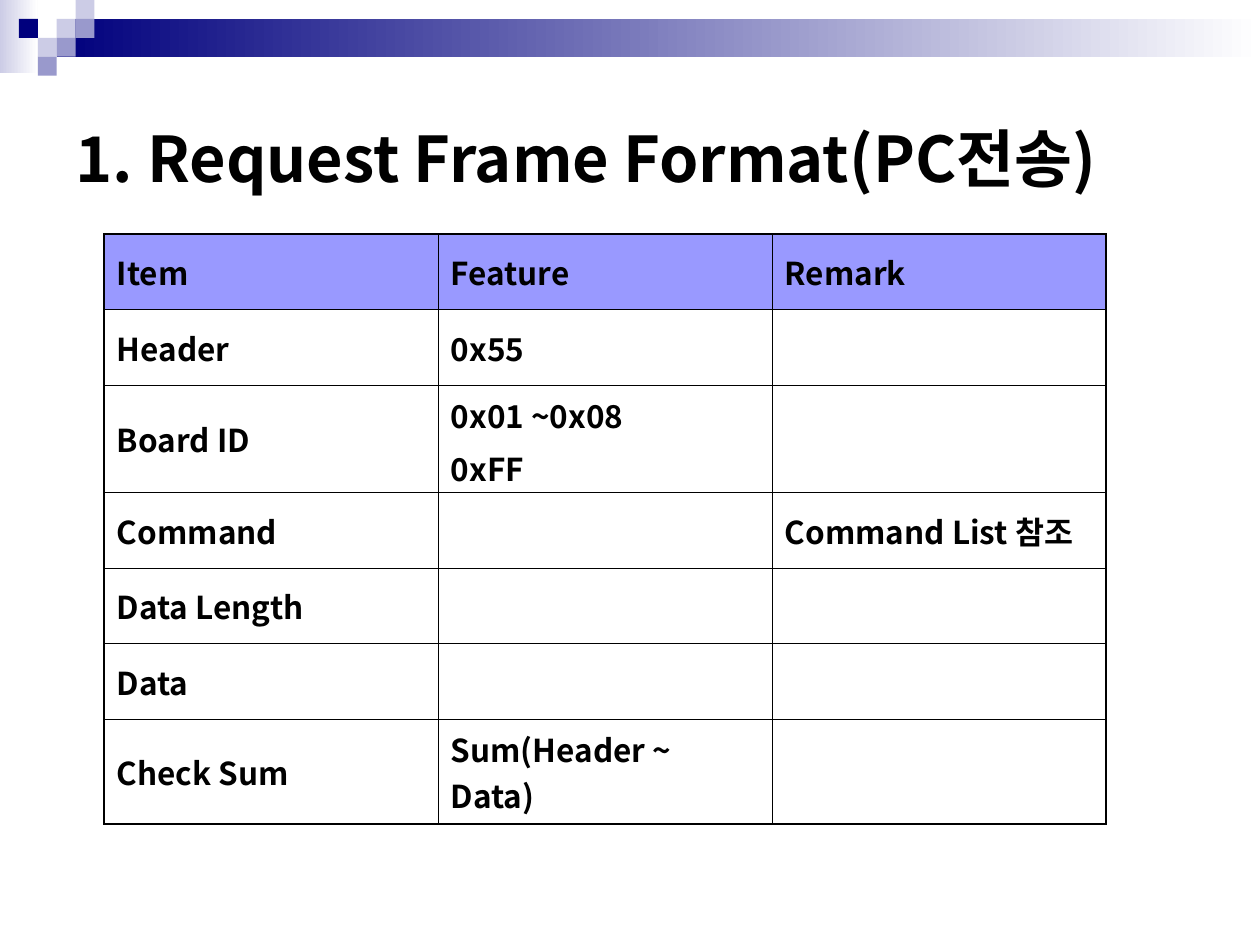
from dataclasses import dataclass

from pptx import Presentation
from pptx.dml.color import RGBColor
from pptx.enum import shapes, text
from pptx.oxml import parse_xml
from pptx.oxml import ns
from pptx.util import Pt


@dataclass(frozen=True)
class Theme:
    font: str = "Noto Sans CJK KR"
    title_size: float = 36
    cell_size: float = 18
    cell_space: float = 4.5
    ink: str = "000000"
    paper: str = "FFFFFF"
    navy: str = "00007D"
    lilac: str = "9999CC"
    pale: str = "CCCCE6"
    header: str = "9999FF"
    outer_line: float = 1.08
    inner_line: float = 0.45


THEME = Theme()

# Column, row and colour of each square in the corner mosaic
MOSAIC = [
    (3, 1, THEME.pale), (4, 0, THEME.pale), (4, 1, THEME.lilac),
    (2, 2, THEME.pale), (1, 1, THEME.navy), (3, 2, THEME.lilac),
    (2, 3, THEME.lilac),
]

FRAME_ROWS = [
    ("Item", "Feature", "Remark"),
    ("Header", "0x55", ""),
    ("Board ID", "0x01 ~0x08\n0xFF", ""),
    ("Command", "", "Command List 참조"),
    ("Data Length", "", ""),
    ("Data", "", ""),
    ("Check Sum", "Sum(Header ~ Data)", ""),
]
ROW_HEIGHTS = [43.2, 43.2, 61.2, 43.2, 43.2, 43.2, 59.8]


def add_rect(slide, left, top, width, height):
    shape = slide.shapes.add_shape(
        shapes.MSO_SHAPE.RECTANGLE, Pt(left), Pt(top), Pt(width), Pt(height))
    shape.shadow.inherit = False
    shape.line.fill.background()
    return shape


def add_fading_rect(slide, left, top, width, height, color):
    """Rectangle that fades from color at the left to paper at the right."""
    fill = add_rect(slide, left, top, width, height).fill
    fill.gradient()
    fill.gradient_angle = 0
    for stop, stop_color in zip(fill.gradient_stops, (color, THEME.paper)):
        stop.color.rgb = RGBColor.from_string(stop_color)


def add_banner(slide, left, top, width, cell):
    """Fading bars and a mosaic of squares on a grid of the given cell size."""
    add_fading_rect(slide, left, top, 2 * cell, 42, THEME.pale)
    add_fading_rect(slide, left + 3 * cell, top + cell,
                    width - 3 * cell, 2 * cell, THEME.navy)
    for column, row, color in MOSAIC:
        square = add_rect(slide, left + column * cell, top + row * cell, cell, cell)
        square.fill.solid()
        square.fill.fore_color.rgb = RGBColor.from_string(color)


def style_text(text_frame, size, space_before=0):
    for paragraph in text_frame.paragraphs:
        paragraph.space_before = Pt(space_before)
        for run in paragraph.runs:
            run.font.name = THEME.font
            run.font.size = Pt(size)
            run.font.bold = True
            run.font.color.rgb = RGBColor.from_string(THEME.ink)
            east_asian = parse_xml(
                f'<a:ea {ns.nsdecls("a")} typeface="{THEME.font}"/>')
            run.font._element.find(ns.qn("a:latin")).addnext(east_asian)


def add_title(slide, left, top, width, height, title):
    box = slide.shapes.add_textbox(Pt(left), Pt(top), Pt(width), Pt(height))
    text_frame = box.text_frame
    text_frame.word_wrap = True
    text_frame.vertical_anchor = text.MSO_ANCHOR.MIDDLE
    text_frame.text = title
    style_text(text_frame, THEME.title_size)


def set_borders(cell, outer_sides):
    """Draw thick lines on the outer sides and thin ones on the others."""
    properties = cell._tc.get_or_add_tcPr()
    for index, side in enumerate("LRTB"):
        width = THEME.outer_line if side in outer_sides else THEME.inner_line
        properties.insert(index, parse_xml(
            f'<a:ln{side} {ns.nsdecls("a")} w="{int(Pt(width))}"><a:solidFill>'
            f'<a:srgbClr val="{THEME.ink}"/></a:solidFill></a:ln{side}>'))


def add_frame_table(slide, left, top, width, rows, heights):
    column_count = len(rows[0])
    table = slide.shapes.add_table(
        len(rows), column_count, Pt(left), Pt(top), Pt(width), Pt(sum(heights))).table
    table.first_row = table.horz_banding = False
    for column in table.columns:
        column.width = Pt(width / column_count)
    for r, (values, height) in enumerate(zip(rows, heights)):
        table.rows[r].height = Pt(height)
        for c, value in enumerate(values):
            cell = table.cell(r, c)
            cell.vertical_anchor = text.MSO_ANCHOR.MIDDLE
            if r == 0:
                cell.fill.solid()
                cell.fill.fore_color.rgb = RGBColor.from_string(THEME.header)
            else:
                cell.fill.background()
            edges = {"L": c == 0, "R": c == column_count - 1,
                     "T": r == 0, "B": r == len(rows) - 1}
            set_borders(cell, [side for side, outer in edges.items() if outer])
            if value:
                cell.text_frame.text = value
                style_text(cell.text_frame, THEME.cell_size, THEME.cell_space)


def main():
    presentation = Presentation()
    presentation.slide_width, presentation.slide_height = Pt(720), Pt(540)
    slide = presentation.slides.add_slide(presentation.slide_layouts[6])
    add_banner(slide, 0, 0, 720, 10.8)
    add_title(slide, 36, 36, 648, 108, "1. Request Frame Format(PC전송)")
    add_frame_table(slide, 59.6, 133.8, 572.4, FRAME_ROWS, ROW_HEIGHTS)
    presentation.save("out.pptx")


if __name__ == "__main__":
    main()
